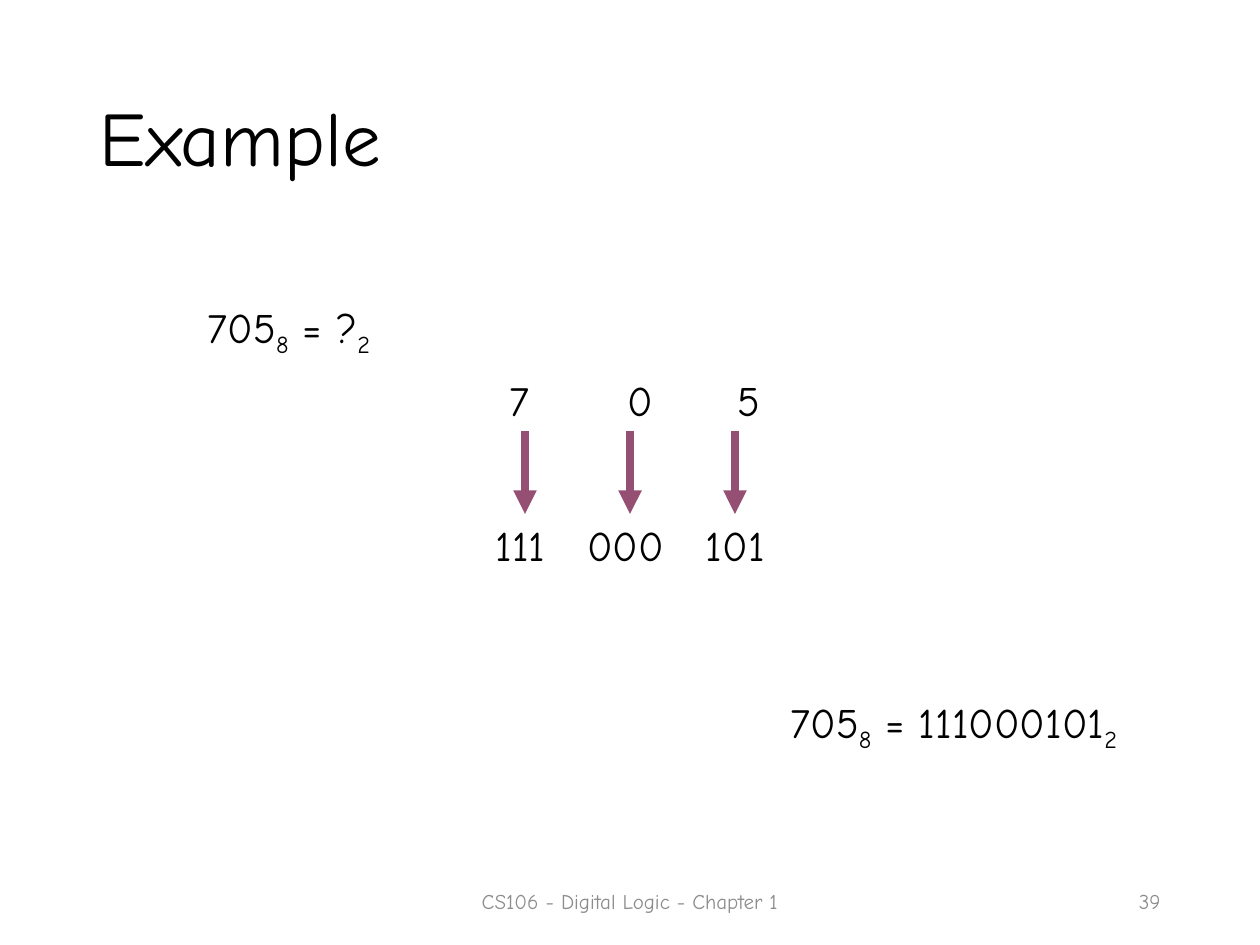
from lxml.etree import SubElement
from pptx import Presentation
from pptx.dml.color import RGBColor
from pptx.enum.shapes import MSO_CONNECTOR
from pptx.enum.text import MSO_ANCHOR as Anchor, MSO_AUTO_SIZE as AutoSize, PP_ALIGN as Align
from pptx.oxml.ns import qn
from pptx.util import Emu, Pt

BLACK = RGBColor(0x00, 0x00, 0x00)
GREY = RGBColor(0x8C, 0x8C, 0x8C)
PLUM = RGBColor(0x95, 0x4F, 0x72)
FONT = "Comic Neue"
EMU_PER_PX = 914400 / 126


def px(length):
    """Turn pixels into EMU."""
    return Emu(round(length * EMU_PER_PX))


def add_tab_stops(paragraph, centres):
    """Give a paragraph centred tab stops at the given pixel offsets."""
    tab_list = SubElement(paragraph._p.get_or_add_pPr(), qn("a:tabLst"))
    for centre in centres:
        SubElement(tab_list, qn("a:tab"), pos=str(px(centre)), algn="ctr")


def write(paragraph, text, size=24, color=BLACK, align=Align.LEFT, subscript=False):
    """Append a formatted run to a paragraph."""
    paragraph.alignment = align
    run = paragraph.add_run()
    run.text = text
    run.font.name = FONT
    run.font.size = Pt(size)
    run.font.color.rgb = color
    if subscript:
        run._r.get_or_add_rPr().set("baseline", "-25000")


def add_frame(slide, box, anchor=Anchor.TOP):
    """Add a wrapping text box and return its text frame."""
    frame = slide.shapes.add_textbox(*map(px, box)).text_frame
    frame.word_wrap = True
    frame.vertical_anchor = anchor
    return frame


def add_title(slide, box, text):
    """Place and format the title placeholder."""
    title = slide.shapes.title
    title.left, title.top, title.width, title.height = map(px, box)
    frame = title.text_frame
    frame.auto_size = AutoSize.NONE
    frame.vertical_anchor = Anchor.MIDDLE
    heading = frame.paragraphs[0]
    heading.line_spacing = 0.9
    write(heading, text, size=44)


def add_equation(slide, box, octal, binary):
    """Write an octal number equal to a binary one, with base subscripts."""
    equation = add_frame(slide, box).paragraphs[0]
    for text, is_base in ((octal, False), ("8", True), (f" = {binary}", False), ("2", True)):
        write(equation, text, align=Align.CENTER, subscript=is_base)


def add_arrow(slide, x, top, bottom):
    """Draw a downward arrow."""
    arrow = slide.shapes.add_connector(MSO_CONNECTOR.STRAIGHT, px(x), px(top), px(x), px(bottom))
    arrow.line.color.rgb = PLUM
    arrow.line.width = Pt(4.5)
    SubElement(arrow.line._get_or_add_ln(), qn("a:tailEnd"), type="triangle")
    SubElement(arrow._element.spPr, qn("a:effectLst"))


def add_conversion(slide, box, digits, digit_centres, groups, group_centres):
    """Show each octal digit turning into its group of three bits."""
    left, top = box[:2]
    frame = add_frame(slide, box)
    digit_row, group_row = frame.paragraphs[0], frame.add_paragraph()
    group_row.space_before = Pt(54)
    for row, values, centres in (
        (digit_row, digits, digit_centres),
        (group_row, groups, group_centres),
    ):
        add_tab_stops(row, centres)
        write(row, "".join(f"\t{value}" for value in values))
    for column in range(len(digits)):
        add_arrow(slide, left + 42 + 105 * column, top + 63, top + 146)


def add_footer(slide, box, course, number):
    """Write the course line and the page number."""
    left, top, width, height = box
    course_box = (left, top, 426, height)
    number_box = (left + width - 284, top, 284, height)
    for part_box, text, align in (
        (course_box, course, Align.CENTER),
        (number_box, number, Align.RIGHT),
    ):
        line = add_frame(slide, part_box, Anchor.MIDDLE).paragraphs[0]
        write(line, text, size=12, color=GREY, align=align)


def main():
    """Build the slide and save it."""
    deck = Presentation()
    deck.slide_width, deck.slide_height = px(1260), px(945)
    slide = deck.slides.add_slide(deck.slide_layouts[5])
    add_title(slide, (87, 50, 1086, 183), "Example")
    add_equation(slide, (147, 295, 284, 63), "705", "?")
    add_conversion(
        slide, (483, 368, 368, 217),
        "705", (24, 145, 253),
        ("111", "000", "101"), (25, 130, 240),
    )
    add_equation(slide, (707, 690, 494, 63), "705", "111000101")
    add_footer(slide, (417, 876, 756, 50), "CS106 - Digital Logic - Chapter 1", "39")
    deck.save("out.pptx")


if __name__ == "__main__":
    main()
